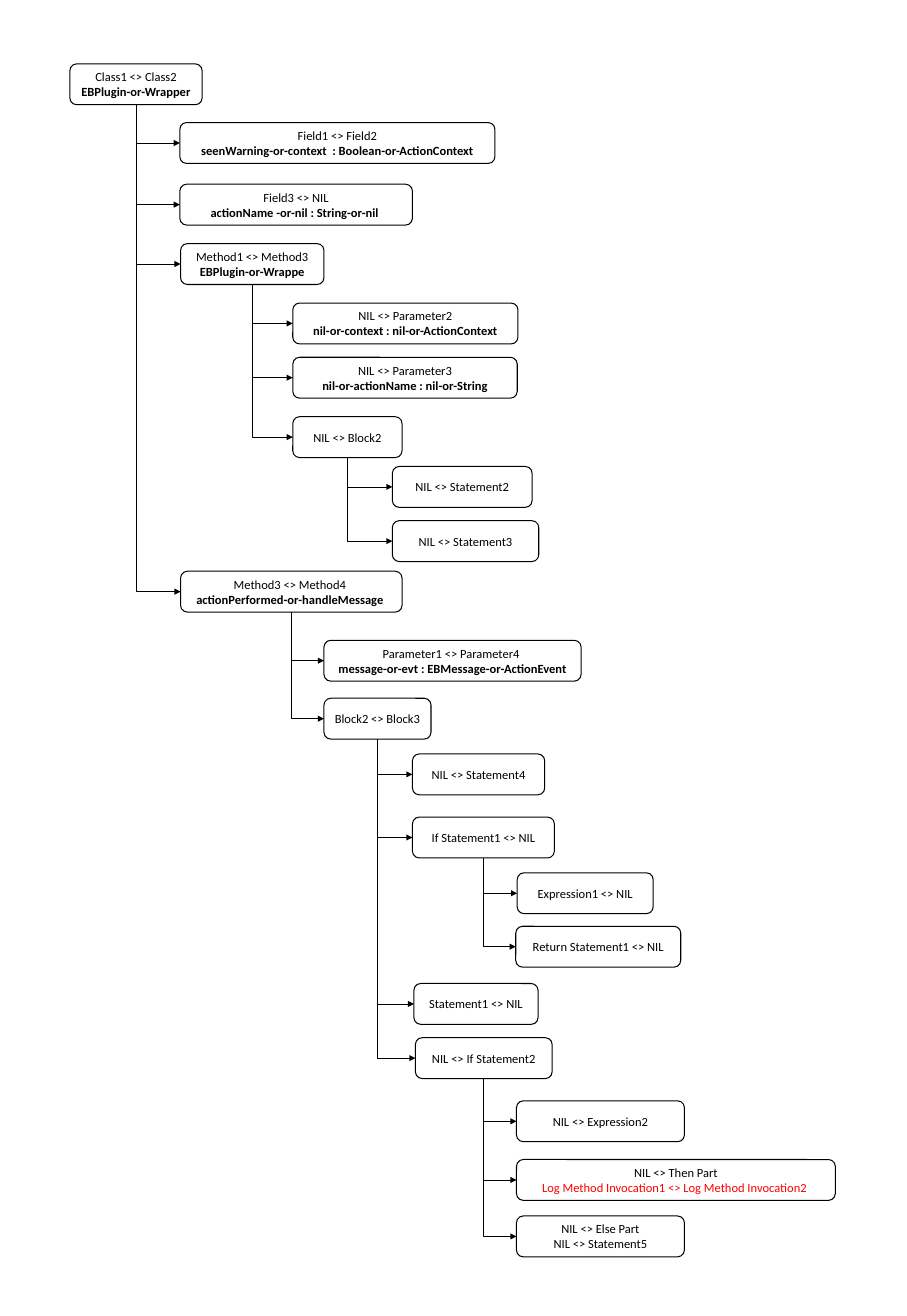
from lxml import etree
from pptx import Presentation
from pptx.dml.color import RGBColor
from pptx.enum.shapes import MSO_CONNECTOR, MSO_SHAPE
from pptx.enum.text import MSO_ANCHOR, PP_ALIGN
from pptx.oxml.ns import qn
from pptx.util import Cm, Inches, Pt

ROUNDED, ELBOW = MSO_SHAPE.ROUNDED_RECTANGLE, MSO_CONNECTOR.ELBOW
MIDDLE, CENTER = MSO_ANCHOR.MIDDLE, PP_ALIGN.CENTER
BOTTOM_SIDE, LEFT_SIDE = 2, 1
BLACK = RGBColor(0x00, 0x00, 0x00)
WHITE = RGBColor(0xFF, 0xFF, 0xFF)
RED = RGBColor(0xFF, 0x00, 0x00)

NODE_HEIGHT = Inches(0.55)
FRAME_FORMAT = dict(word_wrap=True, vertical_anchor=MIDDLE,
                    margin_left=Inches(0.08), margin_right=Inches(0.08),
                    margin_top=Inches(0.04), margin_bottom=Inches(0.04))
FONT_FORMAT = dict(name="Calibri", size=Pt(12.1), bold=False)
PLAIN, BOLD, LOGGED = (False, BLACK), (True, BLACK), (False, RED)

# Tree in reading order: depth, left, top, width, first line, second line, its style
TREE = [
    (0, 0.94, 0.86, 1.78, "Class1 <> Class2", "EBPlugin-or-Wrapper", BOLD),
    (1, 2.42, 1.65, 4.24, "Field1 <> Field2",
     "seenWarning-or-context  : Boolean-or-ActionContext", BOLD),
    (1, 2.42, 2.48, 3.13, "Field3 <> NIL", "actionName -or-nil : String-or-nil ", BOLD),
    (1, 2.43, 3.28, 1.93, "Method1 <> Method3", "EBPlugin-or-Wrappe", BOLD),
    (2, 3.94, 4.08, 3.03, "NIL <> Parameter2", "nil-or-context : nil-or-ActionContext", BOLD),
    (2, 3.94, 4.81, 3.02, "NIL <> Parameter3", "nil-or-actionName : nil-or-String", BOLD),
    (2, 3.94, 5.61, 1.47, "NIL <> Block2", None, PLAIN),
    (3, 5.28, 6.28, 1.88, "NIL <> Statement2", None, PLAIN),
    (3, 5.28, 7.01, 1.97, "NIL <> Statement3", None, PLAIN),
    (1, 2.43, 7.69, 2.98, "Method3 <> Method4 ", "actionPerformed-or-handleMessage ", BOLD),
    (2, 4.36, 8.62, 3.46, "Parameter1 <> Parameter4 ",
     "message-or-evt : EBMessage-or-ActionEvent", BOLD),
    (2, 4.36, 9.40, 1.44, "Block2 <> Block3", None, PLAIN),
    (3, 5.55, 10.15, 1.78, "NIL <> Statement4", None, PLAIN),
    (3, 5.55, 11.00, 1.91, "If Statement1 <> NIL", None, PLAIN),
    (4, 6.96, 11.75, 1.83, "Expression1 <> NIL", None, PLAIN),
    (4, 6.94, 12.47, 2.22, "Return Statement1 <> NIL", None, PLAIN),
    (3, 5.57, 13.24, 1.67, "Statement1 <> NIL", None, PLAIN),
    (3, 5.59, 13.97, 1.84, "NIL <> If Statement2", None, PLAIN),
    (4, 6.95, 14.82, 2.26, "NIL <> Expression2", None, PLAIN),
    (4, 6.95, 15.61, 4.29, "NIL <> Then Part",
     "Log Method Invocation1 <> Log Method Invocation2 ", LOGGED),
    (4, 6.95, 16.37, 2.26, "NIL <> Else Part", "NIL <> Statement5", PLAIN),
]


def add_node(left, top, width, lines):
    """Draw one rounded box; each line is a text with its (bold, colour) style."""
    node = slide.shapes.add_shape(ROUNDED, Inches(left), Inches(top),
                                  Inches(width), NODE_HEIGHT)
    node.shadow.inherit = False
    node.fill.solid()
    node.fill.fore_color.rgb = WHITE
    node.line.color.rgb = BLACK
    node.line.width = Pt(1)
    frame = node.text_frame
    for key, value in FRAME_FORMAT.items():
        setattr(frame, key, value)
    for index, (text, (bold, colour)) in enumerate(lines):
        paragraph = frame.paragraphs[0] if index == 0 else frame.add_paragraph()
        paragraph.alignment = CENTER
        run = paragraph.add_run()
        run.text = text
        for key, value in {**FONT_FORMAT, "bold": bold}.items():
            setattr(run.font, key, value)
        run.font.color.rgb = colour
    return node


def add_branch(parent, child):
    """Run a one-bend arrow down from the parent and right into the child."""
    start_x, start_y = parent.left + parent.width // 2, parent.top + parent.height
    end_x, end_y = child.left, child.top + child.height // 2
    branch = slide.shapes.add_connector(ELBOW, start_x, start_y, end_x, end_y)
    branch.begin_connect(parent, BOTTOM_SIDE)
    branch.end_connect(child, LEFT_SIDE)
    branch.line.color.rgb = BLACK
    branch.line.width = Pt(0.5)

    # Quarter turn about the centre: width and height change places
    run, drop = end_x - start_x, end_y - start_y
    branch.left = (start_x + end_x - drop) // 2
    branch.top = (start_y + end_y - run) // 2
    branch.width, branch.height = drop, run
    properties = branch._element.spPr
    transform = properties.find(qn("a:xfrm"))
    transform.set("rot", "16200000")
    transform.set("flipH", "1")
    properties.find(qn("a:prstGeom")).set("prst", "bentConnector2")
    etree.SubElement(properties.find(qn("a:ln")), qn("a:tailEnd"), type="triangle")
    etree.SubElement(properties, qn("a:effectLst"))


presentation = Presentation()
presentation.slide_width, presentation.slide_height = Cm(31), Cm(45)
slide = presentation.slides.add_slide(presentation.slide_layouts[6])

# Each node hangs from the latest node one level above it
latest = {}
for depth, left, top, width, pair, merged, style in TREE:
    lines = [(pair, PLAIN)] + ([(merged, style)] if merged else [])
    latest[depth] = add_node(left, top, width, lines)
    if depth:
        add_branch(latest[depth - 1], latest[depth])

presentation.save("out.pptx")
